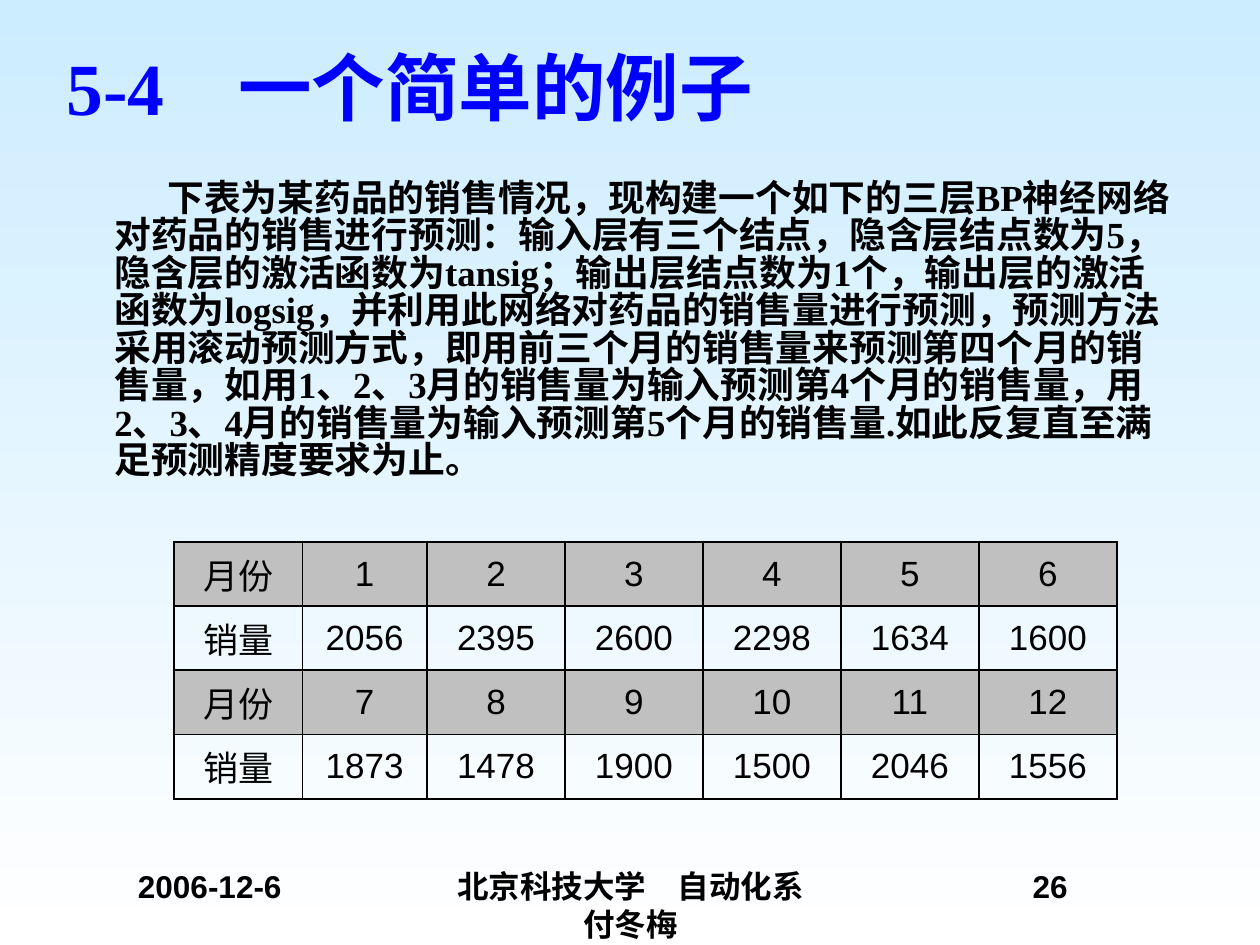
from lxml import etree
from pptx import Presentation
from pptx.dml.color import RGBColor
from pptx.enum.text import MSO_ANCHOR, MSO_AUTO_SIZE, PP_ALIGN
from pptx.oxml.ns import qn
from pptx.util import Inches, Pt

LEFT, CENTER = PP_ALIGN.LEFT, PP_ALIGN.CENTER
TOP, MIDDLE = MSO_ANCHOR.TOP, MSO_ANCHOR.MIDDLE
NO_FIT = MSO_AUTO_SIZE.NONE
TITLE_ONLY = 5
ARIAL, TIMES = "Arial", "Times New Roman"
BLACK, BLUE, GRAY = "000000", "0000FF", "C0C0C0"
SKY, WHITE = "CCECFF", "FFFFFF"

STORY = (
    "下表为某药品的销售情况，现构建一个如下的三层BP神经网络对药品的销售进行预测："
    "输入层有三个结点，隐含层结点数为5，隐含层的激活函数为tansig；"
    "输出层结点数为1个，输出层的激活函数为logsig，"
    "并利用此网络对药品的销售量进行预测，预测方法采用滚动预测方式，"
    "即用前三个月的销售量来预测第四个月的销售量，"
    "如用1、2、3月的销售量为输入预测第4个月的销售量，"
    "用2、3、4月的销售量为输入预测第5个月的销售量."
    "如此反复直至满足预测精度要求为止。"
)
SALES = [2056, 2395, 2600, 2298, 1634, 1600,
         1873, 1478, 1900, 1500, 2046, 1556]
HALF = 6
WIDTHS = [1.02, 0.99] + [1.095] * 5
ROW_H = 0.51


def color(code):
    return RGBColor.from_string(code)


def write(frame, text, size=18, font=ARIAL, ink=BLACK, bold=True,
          align=CENTER, line=None, before=None, margin=0, indent=0):
    frame.word_wrap = True
    para = frame.paragraphs[0]
    para.alignment = align
    para.line_spacing = line
    para.space_before = before
    props = para._p.get_or_add_pPr()
    props.set("marL", str(Inches(margin)))
    props.set("indent", str(Inches(indent)))
    run = para.add_run()
    run.text = text
    run.font.size = Pt(size)
    run.font.name = font
    run.font.bold = bold
    run.font.color.rgb = color(ink)


class Page:
    def __init__(self, deck):
        self.slide = deck.slides.add_slide(deck.slide_layouts[TITLE_ONLY])
        self.rule = Pt(1.08)

    def paint(self, top, bottom):
        fill = self.slide.background.fill
        fill.gradient()
        fill.gradient_angle = 270
        for stop, code in zip(fill.gradient_stops, (top, bottom)):
            stop.color.rgb = color(code)

    def title(self, text, box, **style):
        shape = self.slide.shapes.title
        shape.left, shape.top, shape.width, shape.height = map(Inches, box)
        frame = shape.text_frame
        frame.auto_size = NO_FIT
        frame.vertical_anchor = TOP
        write(frame, text, **style)

    def text(self, text, box, **style):
        shape = self.slide.shapes.add_textbox(*map(Inches, box))
        write(shape.text_frame, text, **style)

    def edge(self, cell):
        props = cell._tc.get_or_add_tcPr()
        for side in ("lnL", "lnR", "lnT", "lnB"):
            line = etree.SubElement(props, qn(f"a:{side}"), w=str(self.rule))
            fill = etree.SubElement(line, qn("a:solidFill"))
            etree.SubElement(fill, qn("a:srgbClr"), val=BLACK)

    def table(self, rows, left, top):
        grid = self.slide.shapes.add_table(
            len(rows), len(WIDTHS), Inches(left), Inches(top),
            Inches(sum(WIDTHS)), Inches(ROW_H * len(rows))).table
        grid.first_row = grid.horz_banding = False
        for col, width in zip(grid.columns, WIDTHS):
            col.width = Inches(width)
        for r, row in enumerate(rows):
            grid.rows[r].height = Inches(ROW_H)
            for c, value in enumerate(row):
                cell = grid.cell(r, c)
                cell.vertical_anchor = MIDDLE
                write(cell.text_frame, str(value), size=20, bold=False)
                self.edge(cell)
                # Month rows are gray, sales rows stay clear
                if r % 2 == 0:
                    cell.fill.solid()
                    cell.fill.fore_color.rgb = color(GRAY)
                else:
                    cell.fill.background()


def main():
    deck = Presentation()
    deck.slide_width, deck.slide_height = Inches(10), Inches(7.5)
    page = Page(deck)
    page.paint(SKY, WHITE)

    # Title and story
    page.title("5-4　一个简单的例子", (0.43, 0.28, 8.5, 1),
               size=42, font=TIMES, ink=BLUE, align=LEFT)
    page.text(STORY, (0.43, 1.39, 8.97, 2.76), size=21, font=TIMES,
              align=LEFT, line=0.85, before=Pt(5.2), margin=0.38, indent=0.42)

    # Monthly sales, half a year to each pair of rows
    rows = []
    for start in range(0, len(SALES), HALF):
        end = start + HALF
        rows.append(["月份", *range(start + 1, end + 1)])
        rows.append(["销量", *SALES[start:end]])
    page.table(rows, 1.38, 4.3)

    # Footer
    for text, left, width in (("2006-12-6", 0.5, 2.33),
                              ("北京科技大学　自动化系 付冬梅", 3.42, 3.17),
                              ("26", 7.17, 2.33)):
        page.text(text, (left, 6.83, width, 0.5))

    deck.save("out.pptx")


if __name__ == "__main__":
    main()
